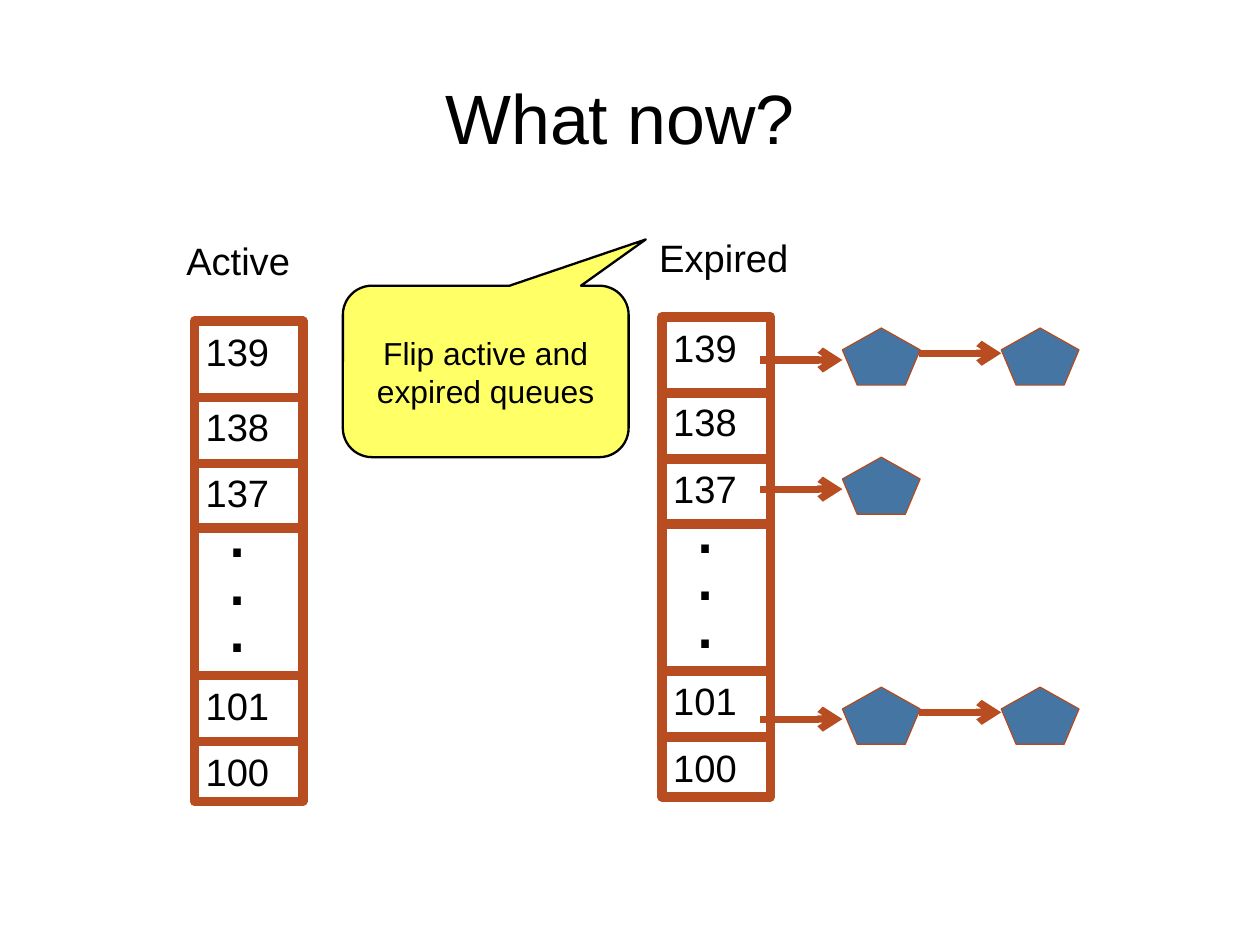
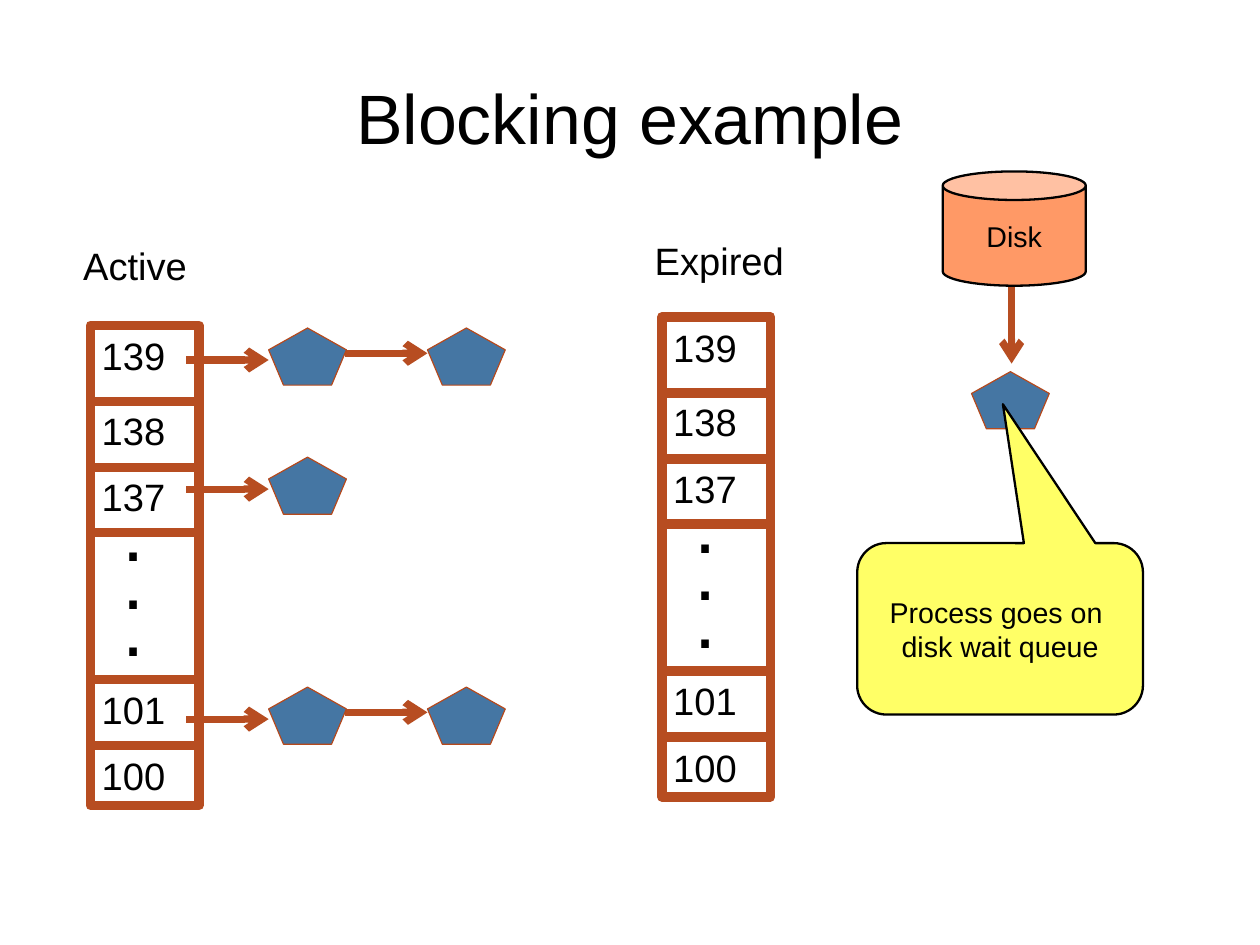
from dataclasses import dataclass
from lxml.etree import SubElement
from pptx import Presentation
from pptx.dml.color import RGBColor
from pptx.enum.shapes import MSO_CONNECTOR, MSO_SHAPE
from pptx.enum.text import MSO_ANCHOR, PP_ALIGN
from pptx.oxml.ns import qn
from pptx.util import Cm, Pt


@dataclass(frozen=True)
class Theme:
    font: str = "Arial"
    ink: RGBColor = RGBColor.from_string("000000")
    rust: RGBColor = RGBColor.from_string("B74D21")
    edge: RGBColor = RGBColor.from_string("B6491C")
    blue: RGBColor = RGBColor.from_string("4576A3")
    note: RGBColor = RGBColor.from_string("FFFF66")
    disk: RGBColor = RGBColor.from_string("FF9966")
    title: int = 44
    body: int = 24
    dots: int = 50
    frame: float = 6
    arrow: float = 4.5
    border: float = 1.45


theme = Theme()


def write(frame, text, size, align=PP_ALIGN.LEFT, gap=None):
    frame.text = text
    for para in frame.paragraphs:
        para.alignment = align
        para.line_spacing = gap
        para.font.name = theme.font
        para.font.size = Pt(size)
        para.font.color.rgb = theme.ink


def draw_line(slide, x1, y1, x2, y2, width, head=False):
    line = slide.shapes.add_connector(
        MSO_CONNECTOR.STRAIGHT, Cm(x1), Cm(y1), Cm(x2), Cm(y2))
    line.line.color.rgb = theme.rust
    line.line.width = Pt(width)
    props = line.element.spPr
    if head:
        SubElement(props.find(qn("a:ln")), qn("a:tailEnd"), type="arrow")
    SubElement(props, qn("a:effectLst"))


# Sizes in cm: queue frame, row tops within it, chain parts
wide, tall = 2.41, 10.67
rows = {"139": 0.04, "138": 1.69, "137": 3.17, "101": 7.9, "100": 9.37}
rules = [1.69, 3.16, 4.6, 7.87, 9.34]
reach, step, rise = 1.83, 3.53, 0.15
node_w, node_h, lift = 1.73, 1.27, 0.71
chains = [(8, 2), (10.87, 1), (15.98, 2)]  # height, number of nodes

# Queue: name, left, top, label left, label top
# Block: shape, left, top, width, height, fill, text, size, adjustments
slides = [
    dict(title="What now? ",
         queues=[("Active", 4.32, 7.14, 3.89, 5.16),
                 ("Expired", 14.71, 7.04, 14.4, 5.08)],
         chain=16.89, waits=[],
         blocks=[(MSO_SHAPE.ROUNDED_RECTANGULAR_CALLOUT, 7.62, 6.35, 6.35, 3.81,
                  theme.note, "Flip active and\nexpired queues", 20,
                  (0.56, -0.77, 0.17))]),
    dict(title="Blocking example",
         queues=[("Active", 2.01, 7.23, 1.6, 5.26),
                 ("Expired", 14.71, 7.04, 14.3, 5.16)],
         chain=4.14, waits=[(21.59, 8.26)],
         blocks=[(MSO_SHAPE.ROUNDED_RECTANGULAR_CALLOUT, 19.05, 12.07, 6.35, 3.81,
                  theme.note, "Process goes on \ndisk wait queue", 18,
                  (0.01, -1.31, 0.17)),
                 (MSO_SHAPE.CAN, 20.95, 3.81, 3.18, 2.54,
                  theme.disk, "Disk", 18, (0.25,))]),
]

deck = Presentation()
deck.slide_width, deck.slide_height = Cm(28), Cm(21)

for data in slides:
    slide = deck.slides.add_slide(deck.slide_layouts[5])
    shapes = slide.shapes

    # Title
    title = shapes.title
    title.left, title.top, title.width, title.height = Cm(1.4), Cm(0.84), Cm(25.2), Cm(3.5)
    frame = title.text_frame
    frame.margin_left = frame.margin_right = frame.margin_top = frame.margin_bottom = 0
    frame.vertical_anchor = MSO_ANCHOR.MIDDLE
    write(frame, data["title"], theme.title, PP_ALIGN.CENTER)

    # Queues: frame, rules, then all their text
    for name, x, y, label_x, label_y in data["queues"]:
        box = shapes.add_shape(MSO_SHAPE.RECTANGLE, Cm(x), Cm(y), Cm(wide), Cm(tall))
        box.shadow.inherit = False
        box.fill.background()
        box.line.color.rgb = theme.rust
        box.line.width = Pt(theme.frame)
        for rule in rules:
            draw_line(slide, x, y + rule, x + wide, y + rule, theme.frame)

        texts = [(name, label_x, label_y, 4.2, 1.27, theme.body, None)]
        texts += [(row, x, y + top, 2.13, 1.27, theme.body, None)
                  for row, top in rows.items()]
        texts.append((".\n.\n.", x + 0.47, y + 4.28, 2.13, 3.43, theme.dots, 0.5))
        for text, left, top, w, h, size, gap in texts:
            box = shapes.add_textbox(Cm(left), Cm(top), Cm(w), Cm(h))
            box.text_frame.word_wrap = True
            write(box.text_frame, text, size, gap=gap)

    # Arrows and process nodes
    nodes = list(data["waits"])
    for y, count in chains:
        for i in range(count):
            x = data["chain"] + i * step
            draw_line(slide, x, y - i * rise, x + reach, y - i * rise, theme.arrow, True)
            nodes.append((x + reach, y - lift))
    for x, y in data["waits"]:
        draw_line(slide, x + 0.89, 6.1, x + 0.89, y - 0.18, theme.arrow, True)
    for x, y in nodes:
        node = shapes.add_shape(
            MSO_SHAPE.REGULAR_PENTAGON, Cm(x), Cm(y), Cm(node_w), Cm(node_h))
        node.shadow.inherit = False
        node.fill.solid()
        node.fill.fore_color.rgb = theme.blue
        node.line.color.rgb = theme.edge
        node.line.width = Pt(0.75)

    # Callouts and disk
    for kind, x, y, w, h, fill, text, size, adjust in data["blocks"]:
        block = shapes.add_shape(kind, Cm(x), Cm(y), Cm(w), Cm(h))
        block.shadow.inherit = False
        for i, value in enumerate(adjust):
            block.adjustments[i] = value
        block.fill.solid()
        block.fill.fore_color.rgb = fill
        block.line.color.rgb = theme.ink
        block.line.width = Pt(theme.border)
        block.text_frame.word_wrap = False
        block.text_frame.vertical_anchor = MSO_ANCHOR.MIDDLE
        write(block.text_frame, text, size, PP_ALIGN.CENTER)

deck.save("out.pptx")
